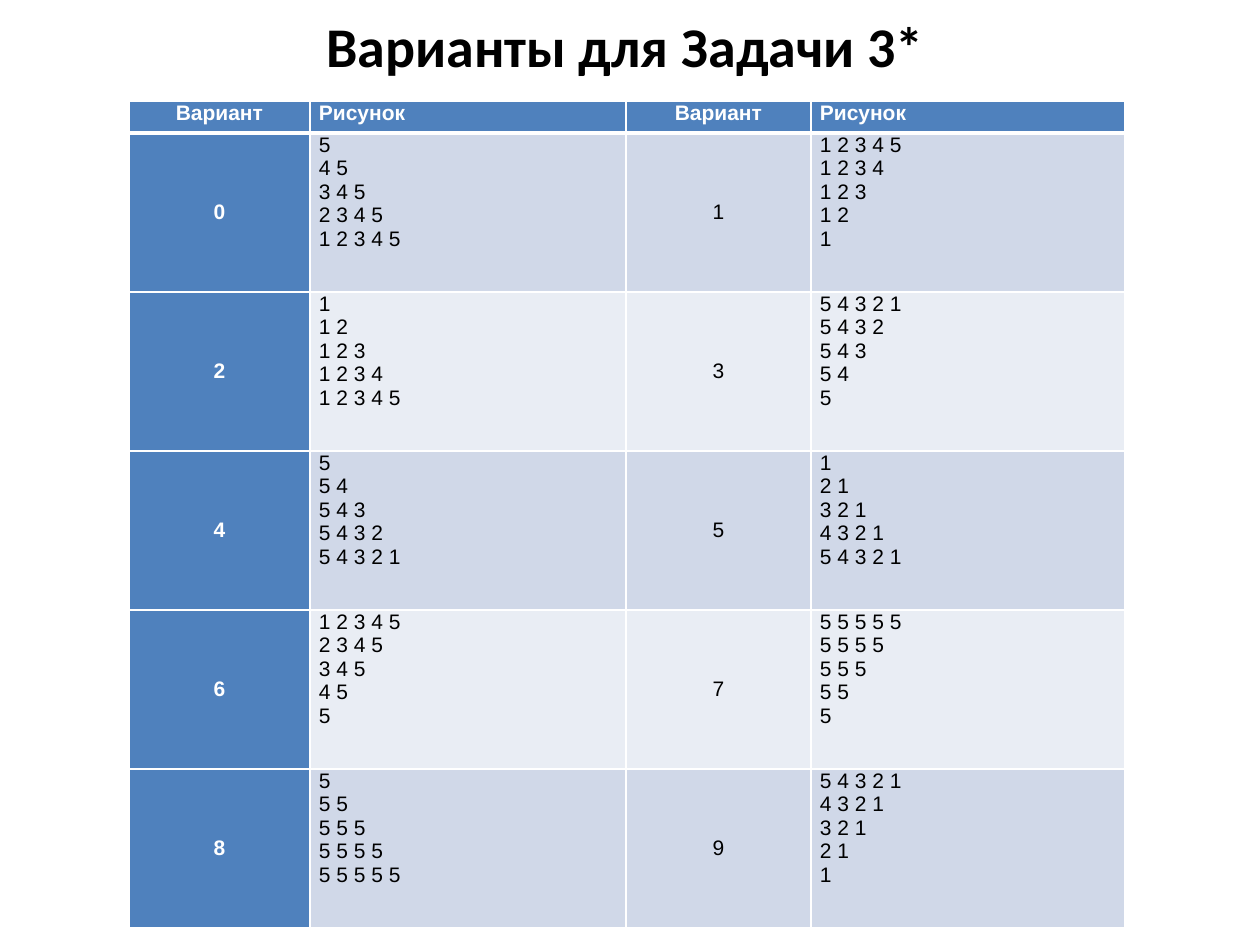
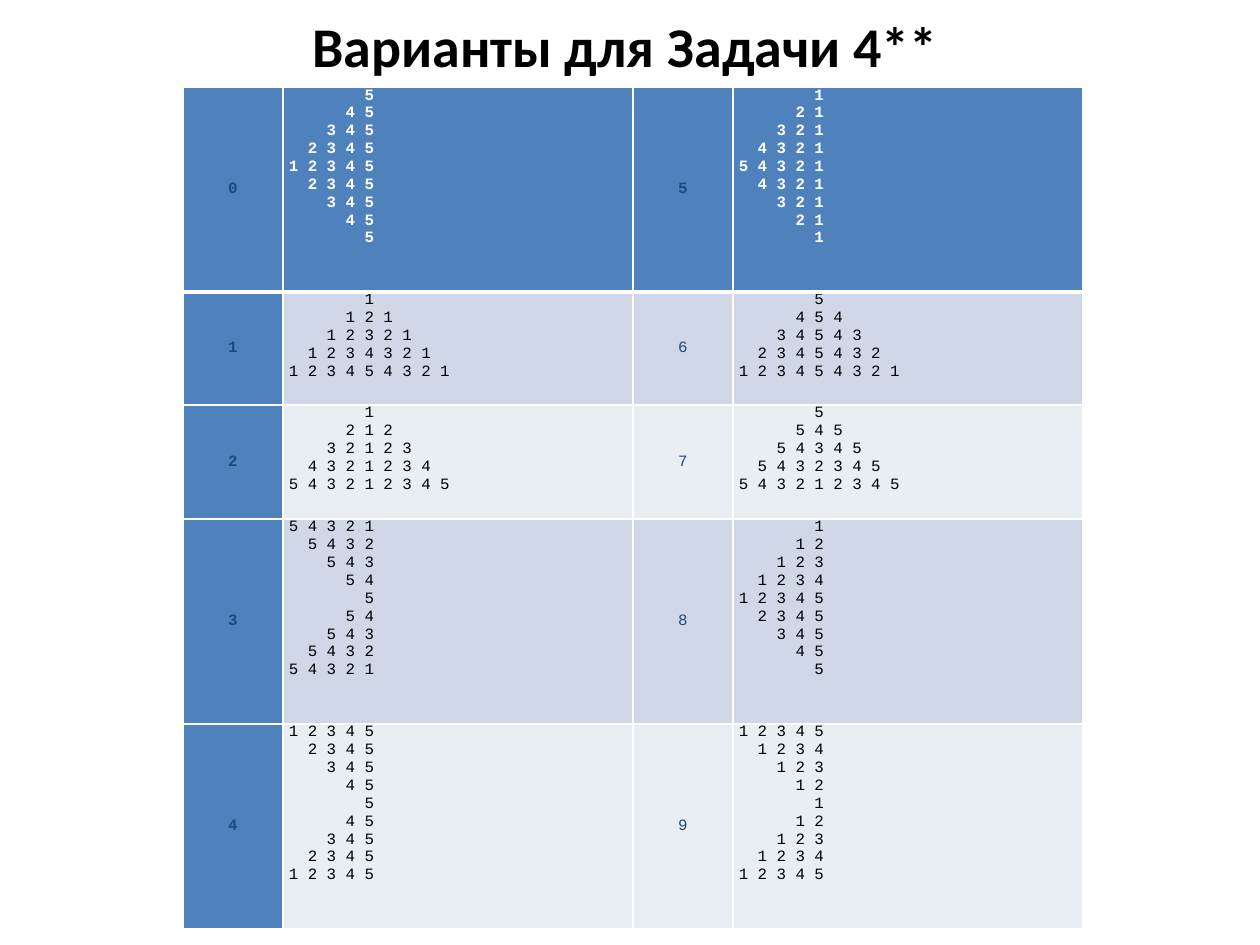
from lxml import etree
from pptx import Presentation
from pptx.dml.color import RGBColor
from pptx.enum.text import MSO_ANCHOR, PP_ALIGN
from pptx.oxml.ns import qn
from pptx.util import Emu, Pt

PX = 914400 / 126
CENTER, LEFT = PP_ALIGN.CENTER, PP_ALIGN.LEFT
MIDDLE, TOP = MSO_ANCHOR.MIDDLE, MSO_ANCHOR.TOP

COLORS = {
    "ink": "000000",
    "white": "FFFFFF",
    "navy": "1F497D",
    "head": "4F81BD",
    "band_dark": "D0D8E8",
    "band_light": "E9EDF4",
}
TITLE_BOX = (25, 16, 1201, 58)

# In a figure "|" ends a line, each digit is one number,
# and each leading space is one empty number position.
TRIANGLES = [
    "5|45|345|2345|12345",
    "12345|1234|123|12|1",
    "1|12|123|1234|12345",
    "54321|5432|543|54|5",
    "5|54|543|5432|54321",
    "1|21|321|4321|54321",
    "12345|2345|345|45|5",
    "55555|5555|555|55|5",
    "5|55|555|5555|55555",
    "54321|4321|321|21|1",
]
PATTERNS = [
    "    5|   45|  345| 2345|12345| 2345|  345|   45|    5",
    "    1|   121|  12321| 1234321|123454321",
    "    1|   212|  32123| 4321234|543212345",
    "54321| 5432|  543|   54|    5|   54|  543| 5432|54321",
    "12345| 2345|  345|   45|    5|   45|  345| 2345|12345",
    "    1|   21|  321| 4321|54321| 4321|  321|   21|    1",
    "    5|   454|  34543| 2345432|123454321",
    "    5|   545|  54345| 5432345|543212345",
    "    1|   12|  123| 1234|12345| 2345|  345|   45|    5",
    "12345| 1234|  123|   12|    1|   12|  123| 1234|12345",
]

SLIDES = [
    {
        "title": "Варианты для Задачи 3*",
        "header": ["Вариант", "Рисунок"] * 2,
        "variants": [(n, n + 1) for n in range(0, 10, 2)],
        "figures": TRIANGLES,
        "origin": (129, 101),
        "cols": [181, 316, 185, 314],
        "rows": [32] + [159] * 5,
        "inset": 9,
        "font": "Arial",
        "size": 12,
        "number_colors": ("white", "ink"),
    },
    {
        "title": "Варианты для Задачи 4**",
        "header": None,
        "variants": [(n, n + 5) for n in range(5)],
        "figures": PATTERNS,
        "origin": (183, 87),
        "cols": [100, 350] * 2,
        "rows": [205, 113, 114, 205, 205],
        "inset": 6,
        "font": "Courier New",
        "size": 9,
        "number_colors": ("navy", "navy"),
    },
]


def px(n):
    return Emu(round(n * PX))


def write(tf, lines, font, size, color="ink", bold=False, align=LEFT):
    """Fill a text frame; lines are (text, left indent in points) pairs."""
    for i, (text, indent) in enumerate(lines):
        p = tf.paragraphs[0] if i == 0 else tf.add_paragraph()
        p.alignment = align
        if indent:
            p._p.get_or_add_pPr().set("marL", str(Pt(indent)))
        r = p.add_run()
        r.text = text
        r.font.name = font
        r.font.size = Pt(size)
        r.font.bold = bold
        r.font.color.rgb = RGBColor.from_string(COLORS[color])


def figure_lines(figure, size):
    """Space out the digits; a position is two monospaced characters wide."""
    for line in figure.split("|"):
        digits = line.lstrip()
        yield " ".join(digits), (len(line) - len(digits)) * 2 * 0.6 * size


def set_borders(cell, **widths):
    tcPr = cell._tc.get_or_add_tcPr()
    for i, (side, width) in enumerate(widths.items()):
        ln = etree.Element(qn("a:ln" + side), w=str(Pt(width)))
        fill = etree.SubElement(ln, qn("a:solidFill"))
        etree.SubElement(fill, qn("a:srgbClr"), val=COLORS["white"])
        tcPr.insert(i, ln)


def cell_contents(data):
    """Rows of (lines, is a figure) pairs."""
    rows = []
    if data["header"]:
        rows.append([([(text, 0)], i % 2 == 1)
                     for i, text in enumerate(data["header"])])
    for pair in data["variants"]:
        row = []
        for n in pair:
            row.append(([(str(n), 0)], False))
            row.append((figure_lines(data["figures"][n], data["size"]), True))
        rows.append(row)
    return rows


def add_variants_table(slide, data):
    cols, rows = data["cols"], data["rows"]
    box = (*data["origin"], sum(cols), sum(rows))
    table = slide.shapes.add_table(len(rows), len(cols), *map(px, box)).table
    for col, width in zip(table.columns, cols):
        col.width = px(width)
    for row, height in zip(table.rows, rows):
        row.height = px(height)

    for r, row in enumerate(cell_contents(data)):
        for c, (lines, is_figure) in enumerate(row):
            cell = table.cell(r, c)
            in_head = r == 0
            titled = in_head and data["header"]
            band = "band_dark" if r % 2 else "band_light"
            fill = "head" if in_head or c == 0 else band
            if is_figure or titled:
                color = "white" if in_head else "ink"
            else:
                color = data["number_colors"][c // 2]
            cell.fill.solid()
            cell.fill.fore_color.rgb = RGBColor.from_string(COLORS[fill])
            cell.margin_left = cell.margin_right = px(data["inset"])
            cell.margin_top = cell.margin_bottom = 0
            cell.vertical_anchor = TOP if is_figure or titled else MIDDLE
            set_borders(cell, L=1, R=1, T=3 if r == 1 else 1,
                        B=3 if in_head else 1)
            write(cell.text_frame, lines, data["font"], data["size"],
                  color=color, bold=in_head or c == 0,
                  align=LEFT if is_figure else CENTER)


def add_title(slide, text):
    tf = slide.shapes.add_textbox(*map(px, TITLE_BOX)).text_frame
    tf.word_wrap = True
    tf.vertical_anchor = MIDDLE
    write(tf, [(text, 0)], "Calibri", 32, bold=True, align=CENTER)


def main():
    prs = Presentation()
    prs.slide_width, prs.slide_height = px(1260), px(945)
    for data in SLIDES:
        slide = prs.slides.add_slide(prs.slide_layouts[6])
        add_title(slide, data["title"])
        add_variants_table(slide, data)
    prs.save("out.pptx")


if __name__ == "__main__":
    main()
